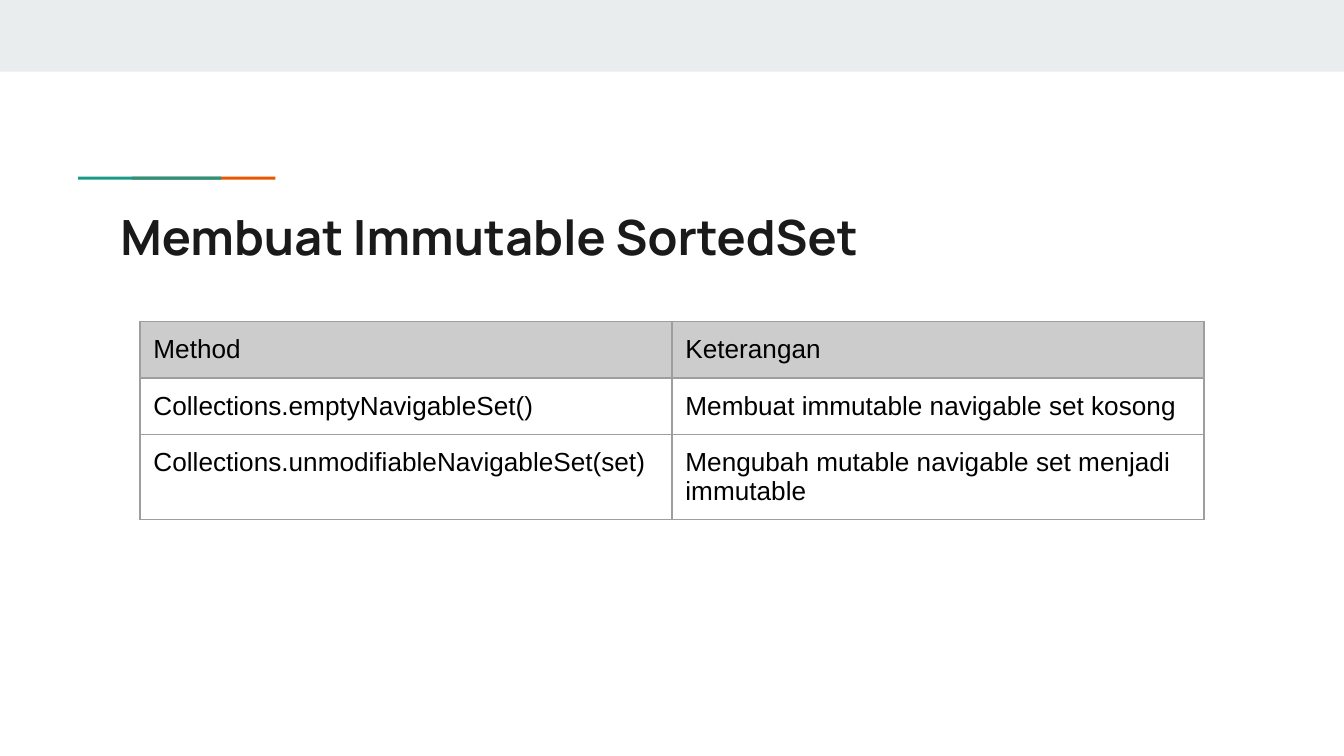
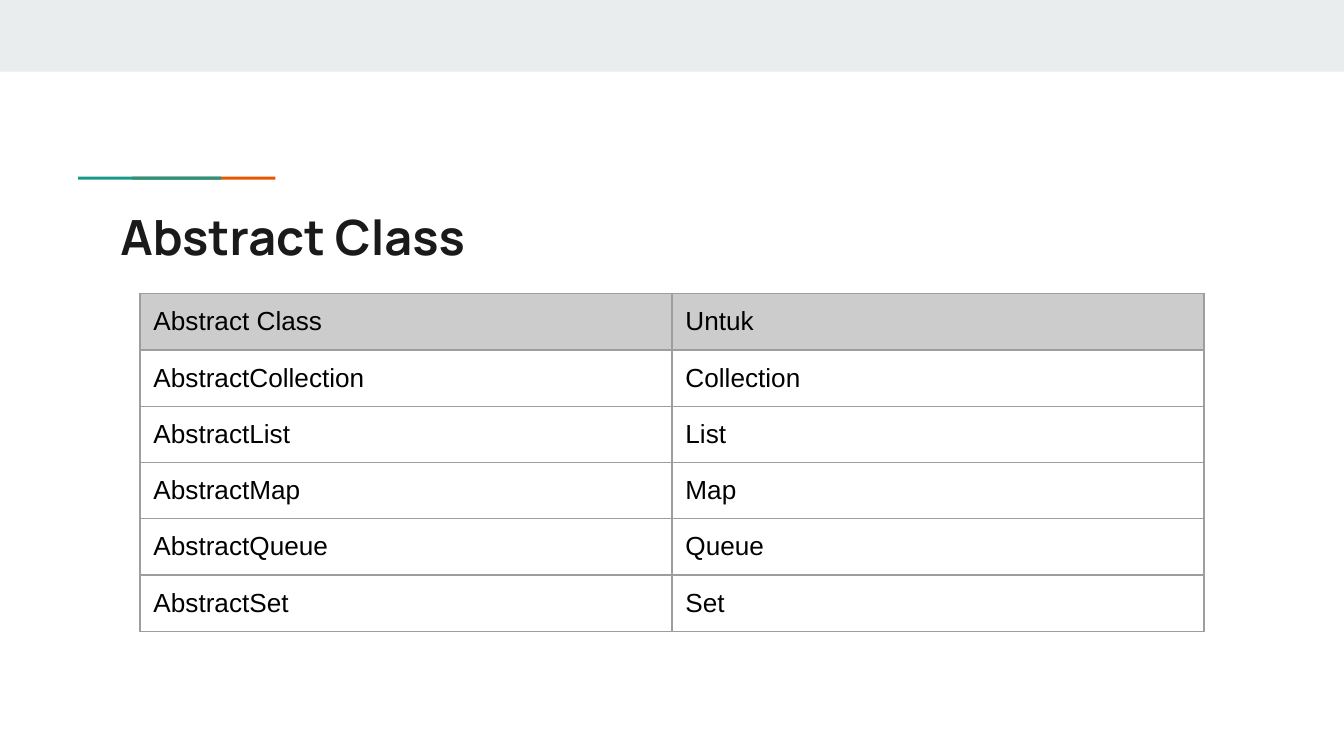
from lxml.etree import SubElement
from pptx import Presentation
from pptx.dml.color import RGBColor
from pptx.enum.shapes import MSO_SHAPE
from pptx.enum.text import MSO_ANCHOR, MSO_AUTO_SIZE, PP_ALIGN
from pptx.oxml.ns import qn
from pptx.util import Pt

WIDTH, HEIGHT = 720, 405
BAND, TEAL, ORANGE = "E9EDEE", "1A9988", "EB5600"
HEADER_FILL, BORDER = "CCCCCC", "9E9E9E"
TITLE_FONT = {"name": "Manrope", "size": Pt(26), "bold": True}
CELL_FONT = {"name": "Arial", "size": Pt(14), "bold": False}
INSETS = {f"margin_{side}": Pt(7.2) for side in ("left", "top", "right", "bottom")}
COLUMN_WIDTH, ROW_HEIGHT, TABLE_LEFT = 285, 30, 75

SLIDES = [
    ("Membuat Immutable SortedSet", 172.3, [
        ("Method", "Keterangan"),
        ("Collections.emptyNavigableSet()", "Membuat immutable navigable set kosong"),
        ("Collections.unmodifiableNavigableSet(set)",
         "Mengubah mutable navigable set menjadi immutable"),
    ]),
    ("Abstract Class", 157.3, [
        ("Abstract Class", "Untuk"),
        ("AbstractCollection", "Collection"),
        ("AbstractList", "List"),
        ("AbstractMap", "Map"),
        ("AbstractQueue", "Queue"),
        ("AbstractSet", "Set"),
    ]),
]


def color(hex_value):
    return RGBColor.from_string(hex_value)


def set_attributes(target, values):
    for name, value in values.items():
        setattr(target, name, value)


def format_paragraph(paragraph, font, hex_value):
    paragraph.alignment = PP_ALIGN.LEFT
    set_attributes(paragraph.font, font)
    paragraph.font.color.rgb = color(hex_value)


def add_bar(slide, left, top, width, height, fill):
    bar = slide.shapes.add_shape(
        MSO_SHAPE.RECTANGLE, Pt(left), Pt(top), Pt(width), Pt(height))
    bar.shadow.inherit = False
    bar.fill.solid()
    bar.fill.fore_color.rgb = color(fill)
    bar.line.fill.background()


def add_decoration(slide):
    """Add the top band and the accent line, whose teal bar overlaps the orange one."""
    add_bar(slide, 0, 0, WIDTH, 38.4, BAND)
    for left, fill in ((70.7, ORANGE), (41.8, TEAL)):
        add_bar(slide, left, 94.7, 76.8, 1.6, fill)


def set_title(slide, text):
    title = slide.shapes.title
    set_attributes(title, {"left": Pt(57.3), "top": Pt(103.7),
                           "width": Pt(605.5), "height": Pt(42.5)})
    frame = title.text_frame
    frame.text = text
    set_attributes(frame, INSETS | {
        "word_wrap": True, "auto_size": MSO_AUTO_SIZE.NONE,
        "vertical_anchor": MSO_ANCHOR.TOP})
    paragraph = frame.paragraphs[0]
    paragraph.line_spacing = 1.0
    paragraph.space_before = Pt(0)
    format_paragraph(paragraph, TITLE_FONT, "1A1A1A")


def add_borders(cell):
    """Put the four border lines ahead of the cell's fill, as the schema requires."""
    properties = cell._tc.get_or_add_tcPr()
    for position, side in enumerate(("lnL", "lnR", "lnT", "lnB")):
        line = SubElement(properties, qn(f"a:{side}"), w=str(Pt(0.75)))
        fill = SubElement(line, qn("a:solidFill"))
        SubElement(fill, qn("a:srgbClr"), val=BORDER)
        properties.insert(position, line)


def format_cell(cell, text, is_header):
    cell.text = text
    set_attributes(cell, INSETS | {"vertical_anchor": MSO_ANCHOR.TOP})
    format_paragraph(cell.text_frame.paragraphs[0], CELL_FONT, "000000")
    if is_header:
        cell.fill.solid()
        cell.fill.fore_color.rgb = color(HEADER_FILL)
    else:
        cell.fill.background()
    add_borders(cell)


def add_data_table(slide, top, rows):
    columns = len(rows[0])
    table = slide.shapes.add_table(
        len(rows), columns, Pt(TABLE_LEFT), Pt(top),
        Pt(columns * COLUMN_WIDTH), Pt(len(rows) * ROW_HEIGHT)).table
    table.horz_banding = False
    for row_index, row in enumerate(rows):
        for column_index, text in enumerate(row):
            format_cell(table.cell(row_index, column_index), text, row_index == 0)


def main():
    presentation = Presentation()
    set_attributes(presentation, {"slide_width": Pt(WIDTH), "slide_height": Pt(HEIGHT)})
    title_only = presentation.slide_layouts[5]
    for title, table_top, rows in SLIDES:
        slide = presentation.slides.add_slide(title_only)
        add_decoration(slide)
        set_title(slide, title)
        add_data_table(slide, table_top, rows)
    presentation.save("out.pptx")


if __name__ == "__main__":
    main()
